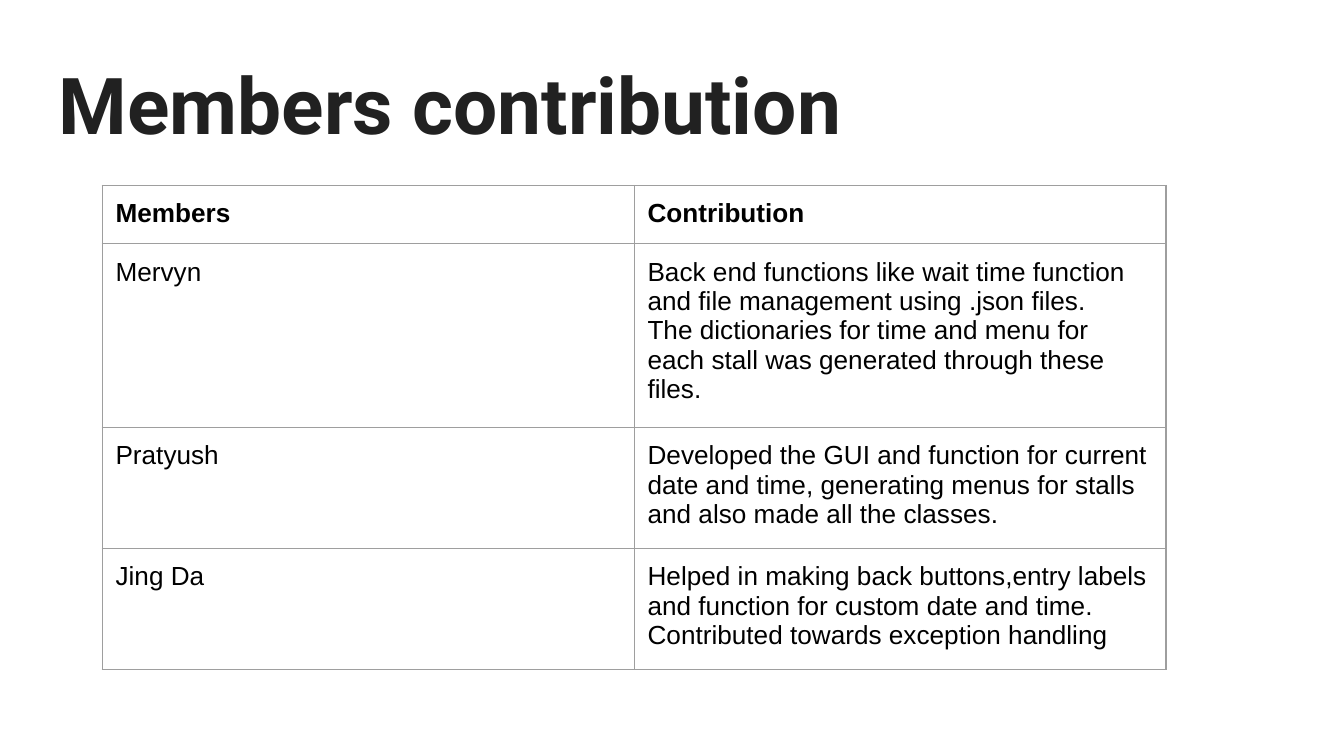
import pptx
import pptx.dml.color
import pptx.enum.text
import pptx.oxml
import pptx.oxml.ns
import pptx.util

Pt = pptx.util.Pt
INSET = Pt(7.2)
ROWS = [
    ("Members", ["Contribution"], 30.3),
    ("Mervyn", ["Back end functions like wait time function and file management "
                "using .json files.",
                "The dictionaries for time and menu for each stall was generated "
                "through these files."], 92.9),
    ("Pratyush", ["Developed the GUI and function for current date and time, "
                  "generating menus for stalls and also made all the classes."], 61.6),
    ("Jing Da", ["Helped in making back buttons,entry labels and function for custom "
                 "date and time. Contributed towards exception handling"], 61.6),
]


def colour(value):
    return pptx.dml.color.RGBColor.from_string(value)


def add_span(para, text, font, size, shade, bold):
    span = para.add_run()
    span.text = text
    span.font.name = font
    span.font.size = Pt(size)
    span.font.bold = bold
    span.font.color.rgb = colour(shade)


def add_title(page, text):
    box = page.shapes.add_textbox(Pt(24.5), Pt(23), Pt(671), Pt(63.4))
    frame = box.text_frame
    frame.word_wrap = True
    frame.vertical_anchor = pptx.enum.text.MSO_ANCHOR.TOP
    frame.margin_left = frame.margin_right = INSET
    frame.margin_top = frame.margin_bottom = INSET
    add_span(frame.paragraphs[0], text, "Roboto", 42, "212121", True)


def set_borders(cell, shade, width):
    # Border lines must come before the fill in the cell properties
    properties = cell._tc.get_or_add_tcPr()
    for place, side in enumerate(("lnL", "lnR", "lnT", "lnB")):
        properties.insert(place, pptx.oxml.parse_xml(
            f'<a:{side} {pptx.oxml.ns.nsdecls("a")} w="{Pt(width)}">'
            f'<a:solidFill><a:srgbClr val="{shade}"/></a:solidFill></a:{side}>'))


def fill_cell(cell, lines, bold):
    cell.margin_left = cell.margin_right = INSET
    cell.margin_top = cell.margin_bottom = INSET
    cell.fill.background()
    set_borders(cell, "9E9E9E", 0.75)
    frame = cell.text_frame
    for number, line in enumerate(lines):
        para = frame.add_paragraph() if number else frame.paragraphs[0]
        add_span(para, line, "Arial", 14, "000000", bold)


def add_contributions(page):
    height = sum(row[2] for row in ROWS)
    table = page.shapes.add_table(len(ROWS), 2, Pt(54.7), Pt(99.4),
                                  Pt(570), Pt(height)).table
    table.horz_banding = False
    table.first_row = False
    for number, (member, lines, row_height) in enumerate(ROWS):
        table.rows[number].height = Pt(row_height)
        fill_cell(table.cell(number, 0), [member], number == 0)
        fill_cell(table.cell(number, 1), lines, number == 0)


def main():
    deck = pptx.Presentation()
    deck.slide_width, deck.slide_height = Pt(720), Pt(405)
    page = deck.slides.add_slide(deck.slide_layouts[6])
    page.background.fill.solid()
    page.background.fill.fore_color.rgb = colour("FFFFFF")

    # Heading, then the table of who did what
    add_title(page, "Members contribution")
    add_contributions(page)
    deck.save("out.pptx")


if __name__ == "__main__":
    main()
